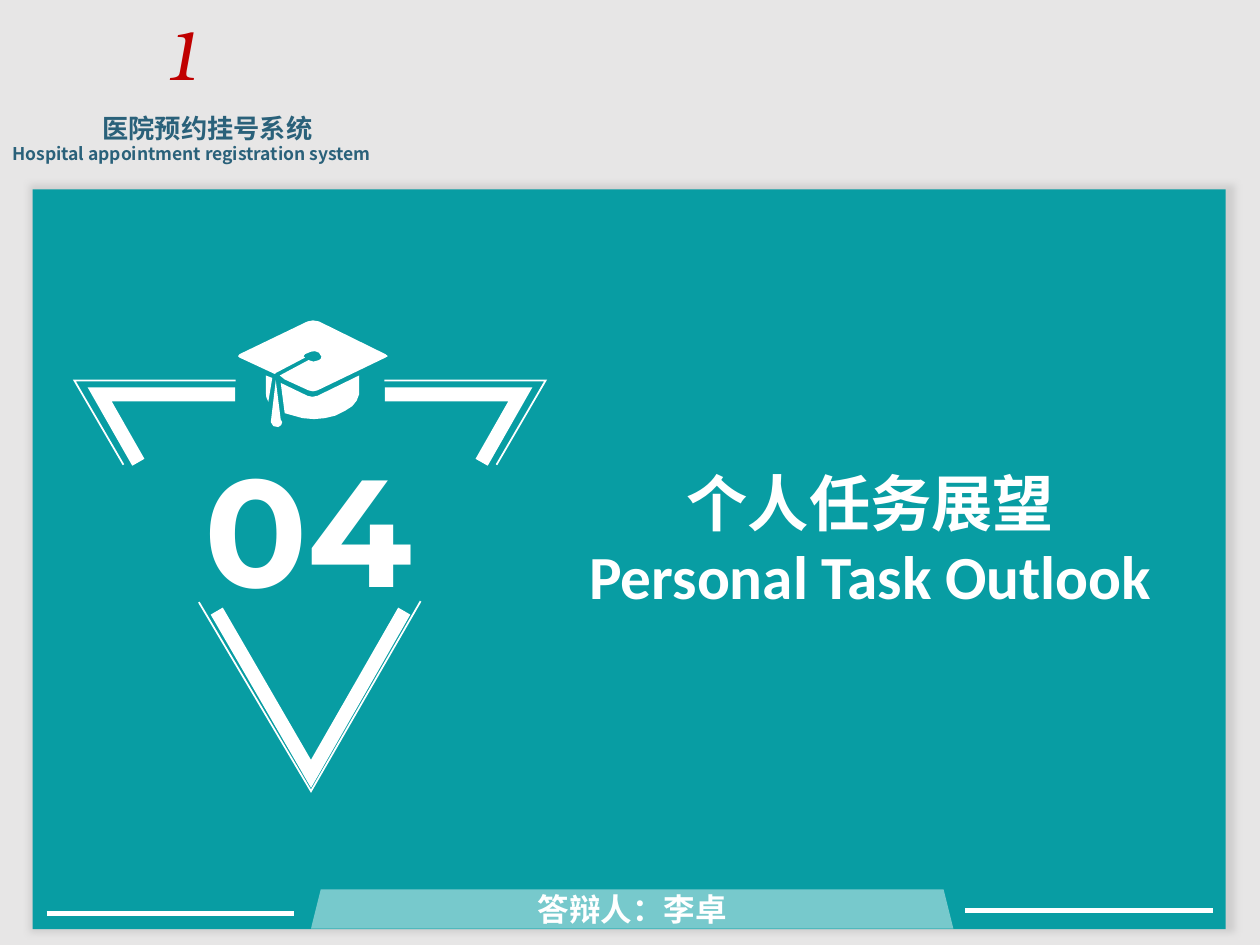
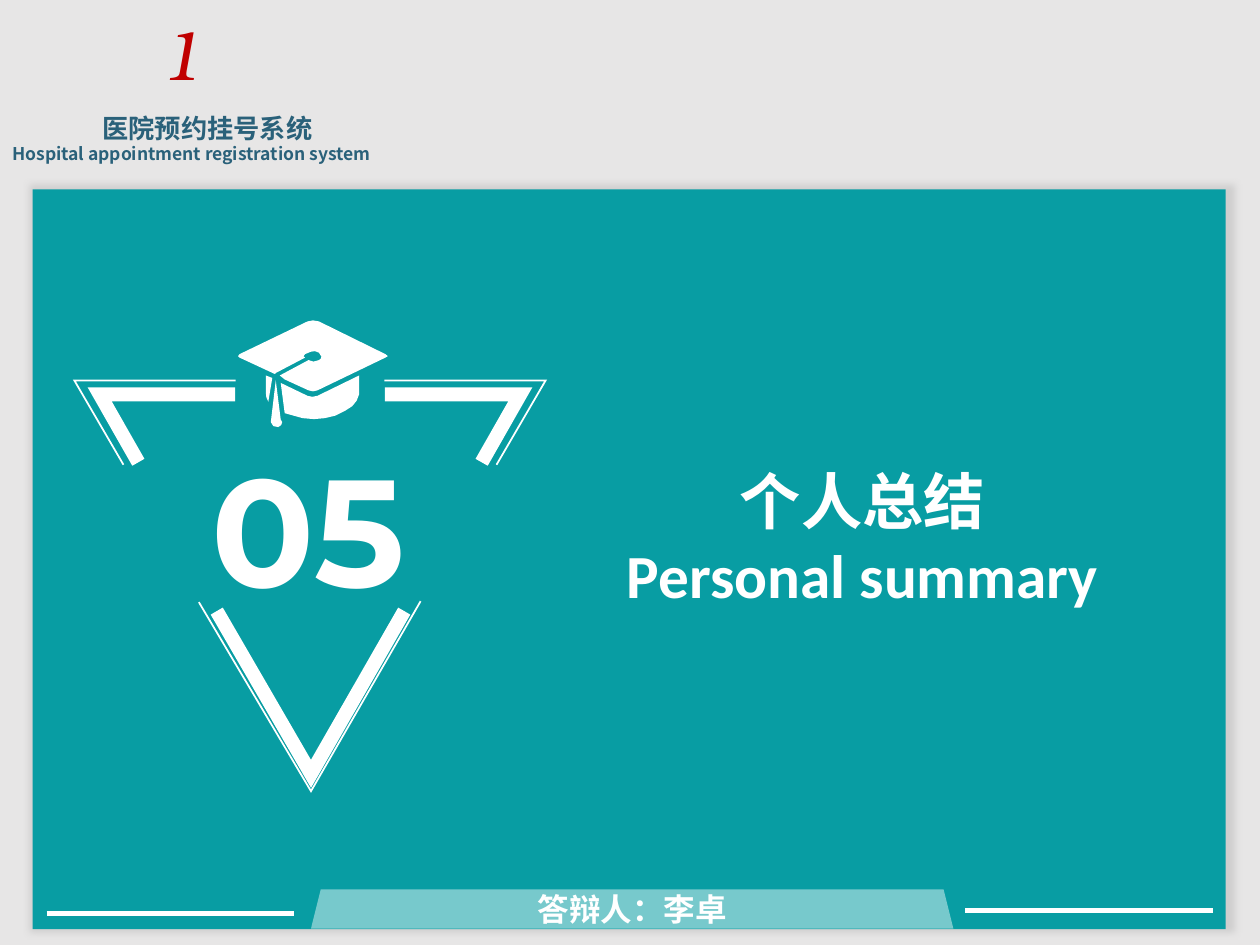
from lxml import etree
from pptx import Presentation
from pptx.dml.color import RGBColor
from pptx.enum.shapes import MSO_CONNECTOR, MSO_SHAPE
from pptx.enum.text import MSO_ANCHOR, PP_ALIGN
from pptx.oxml import parse_xml
from pptx.oxml.ns import nsdecls, qn
from pptx.util import Cm, Pt

LEFT, CENTER = PP_ALIGN.LEFT, PP_ALIGN.CENTER
MIDDLE = MSO_ANCHOR.MIDDLE
RECTANGLE, TRAPEZOID = MSO_SHAPE.RECTANGLE, MSO_SHAPE.TRAPEZOID
STRAIGHT = MSO_CONNECTOR.STRAIGHT

GREY = RGBColor(0xE7, 0xE6, 0xE6)
TEAL = RGBColor(0x08, 0x9D, 0xA3)
LIGHT_TEAL = RGBColor(0x77, 0xC9, 0xCC)
NAVY = RGBColor(0x2A, 0x61, 0x7A)
RED = RGBColor(0xC0, 0x00, 0x00)
WHITE = RGBColor(0xFF, 0xFF, 0xFF)

SANS_SC, SANS_JP = "Noto Sans CJK SC", "Noto Sans CJK JP"

# Outlines are in hundredths of a centimetre.
UNIT = Cm(0.01)
FRAME_AXIS = 625
CORNERS = [
    (1, [(249, 937), (150, 767), (475, 767)]),
    (8, [(279, 932), (201, 795), (474, 795)]),
]
TIPS = [
    (1, [(848, 1212), (627, 1595), (401, 1214)]),
    (8, [(815, 1232), (627, 1560), (437, 1232)]),
]
CAP_BOARD = [
    (620, 648), (631, 646), (643, 648), (777, 714), (782, 718), (777, 721),
    (640, 787), (631, 789), (622, 787), (574, 765), (564, 757), (622, 726),
    (632, 729), (643, 726), (647, 723), (648, 719), (643, 711), (635, 708),
    (627, 709), (615, 714), (612, 718), (615, 721), (556, 752), (554, 754),
    (483, 721), (480, 718), (483, 714),
]
CAP_SIDE = [(536, 757), (549, 762), (541, 810), (537, 801), (536, 792)]
CAP_CROWN = [
    (640, 798), (724, 757), (724, 795), (719, 808), (710, 819), (696, 828),
    (676, 838), (655, 843), (633, 845), (610, 843), (574, 833), (566, 772),
    (620, 798), (630, 800),
]
CAP_TASSEL = [(546, 851), (556, 767), (566, 846), (569, 851), (567, 857),
              (561, 861), (551, 859)]

SECTIONS = [
    ("04", "个人任务展望", "Personal Task Outlook", (11.48, 9.25, 12.14, 3.25)),
    ("05", "个人总结", "Personal summary", (10.24, 9.22, 14.3, 3.25)),
]


def style(p, text, size, font, color, bold=True, italic=False, align=CENTER):
    p.text = text
    p.alignment = align
    f = p.font
    f.size, f.name, f.bold, f.italic = Pt(size), font, bold, italic
    f.color.rgb = color
    latin = p._p.pPr.find(qn("a:defRPr")).find(qn("a:latin"))
    ea = etree.Element(qn("a:ea"), typeface=font)
    latin.addnext(ea)


def add_text(slide, box, *lines):
    """Add a text box; each line is a dict of arguments for style()."""
    tf = slide.shapes.add_textbox(*map(Cm, box)).text_frame
    tf.word_wrap = True
    for i, line in enumerate(lines):
        style(tf.add_paragraph() if i else tf.paragraphs[0], **line)


def add_block(slide, kind, box, color):
    sp = slide.shapes.add_shape(kind, *map(Cm, box))
    sp.shadow.inherit = False
    sp.fill.solid()
    sp.fill.fore_color.rgb = color
    sp.line.fill.background()
    return sp


def add_outline(slide, points, width=None):
    """Draw a white open stroke of the given width, or a filled shape without one."""
    builder = slide.shapes.build_freeform(*points[0], scale=UNIT)
    builder.add_line_segments(points[1:], close=width is None)
    sp = builder.convert_to_shape()
    sp.shadow.inherit = False
    if width is None:
        sp.fill.solid()
        sp.fill.fore_color.rgb = WHITE
        sp.line.fill.background()
    else:
        sp.fill.background()
        sp.line.color.rgb = WHITE
        sp.line.width = Pt(width)
        etree.SubElement(sp.line._ln, qn("a:miter"), lim="800000")


def add_rule(slide, x1, x2, y):
    line = slide.shapes.add_connector(STRAIGHT, Cm(x1), Cm(y), Cm(x2), Cm(y))
    line.line.color.rgb = WHITE
    line.line.width = Pt(3)
    etree.SubElement(line._element.spPr, qn("a:effectLst"))


def add_header(slide):
    add_text(slide, (2.39, 0.08, 2.51, 1.96),
             dict(text="1", size=40, font="TeX Gyre Bonum", color=RED,
                  bold=False, italic=True))
    add_text(slide, (0, 2.13, 8.36, 1.32),
             dict(text="医院预约挂号系统", size=15, font=SANS_SC, color=NAVY),
             dict(text="Hospital appointment registration system", size=10,
                  font=SANS_SC, color=NAVY, align=LEFT))


def add_panel(slide):
    panel = add_block(slide, RECTANGLE, (0.66, 3.82, 24.05, 14.91), TEAL)
    effects = panel._element.spPr.find(qn("a:effectLst"))
    effects.append(parse_xml(
        f'<a:outerShdw {nsdecls("a")} blurRad="{Pt(4)}" dist="{Pt(2)}" dir="0" '
        'sx="101000" sy="101000" algn="ctr" rotWithShape="0">'
        '<a:srgbClr val="A6A6A6"><a:alpha val="36000"/></a:srgbClr></a:outerShdw>'))


def add_emblem(slide):
    """Draw the broken triangle with the graduation cap on its top edge."""
    for width, corner in CORNERS:
        add_outline(slide, corner, width)
        add_outline(slide, [(2 * FRAME_AXIS - x, y) for x, y in corner], width)
    for width, tip in TIPS:
        add_outline(slide, tip, width)
    for part in (CAP_BOARD, CAP_SIDE, CAP_CROWN, CAP_TASSEL):
        add_outline(slide, part)


def add_footer(slide):
    tf = add_block(slide, TRAPEZOID, (6.27, 17.93, 12.95, 0.79), LIGHT_TEAL).text_frame
    tf.margin_top = tf.margin_bottom = 0
    tf.vertical_anchor = MIDDLE
    style(tf.paragraphs[0], "答辩人：李卓", 18, SANS_JP, WHITE)
    add_rule(slide, 0.94, 5.92, 18.42)
    add_rule(slide, 19.46, 24.46, 18.36)


def add_section(prs, number, title, subtitle, title_box):
    slide = prs.slides.add_slide(prs.slide_layouts[6])
    slide.background.fill.solid()
    slide.background.fill.fore_color.rgb = GREY
    add_header(slide)
    add_panel(slide)
    add_emblem(slide)
    add_text(slide, (3.68, 8.66, 5.08, 3.99),
             dict(text=number, size=87, font="Montserrat", color=WHITE))
    add_text(slide, title_box,
             dict(text=title, size=35, font=SANS_SC, color=WHITE),
             dict(text=subtitle, size=35, font="Calibri", color=WHITE))
    add_footer(slide)


def main():
    prs = Presentation()
    prs.slide_width, prs.slide_height = Cm(25.4), Cm(19.05)
    for section in SECTIONS:
        add_section(prs, *section)
    prs.save("out.pptx")


if __name__ == "__main__":
    main()
